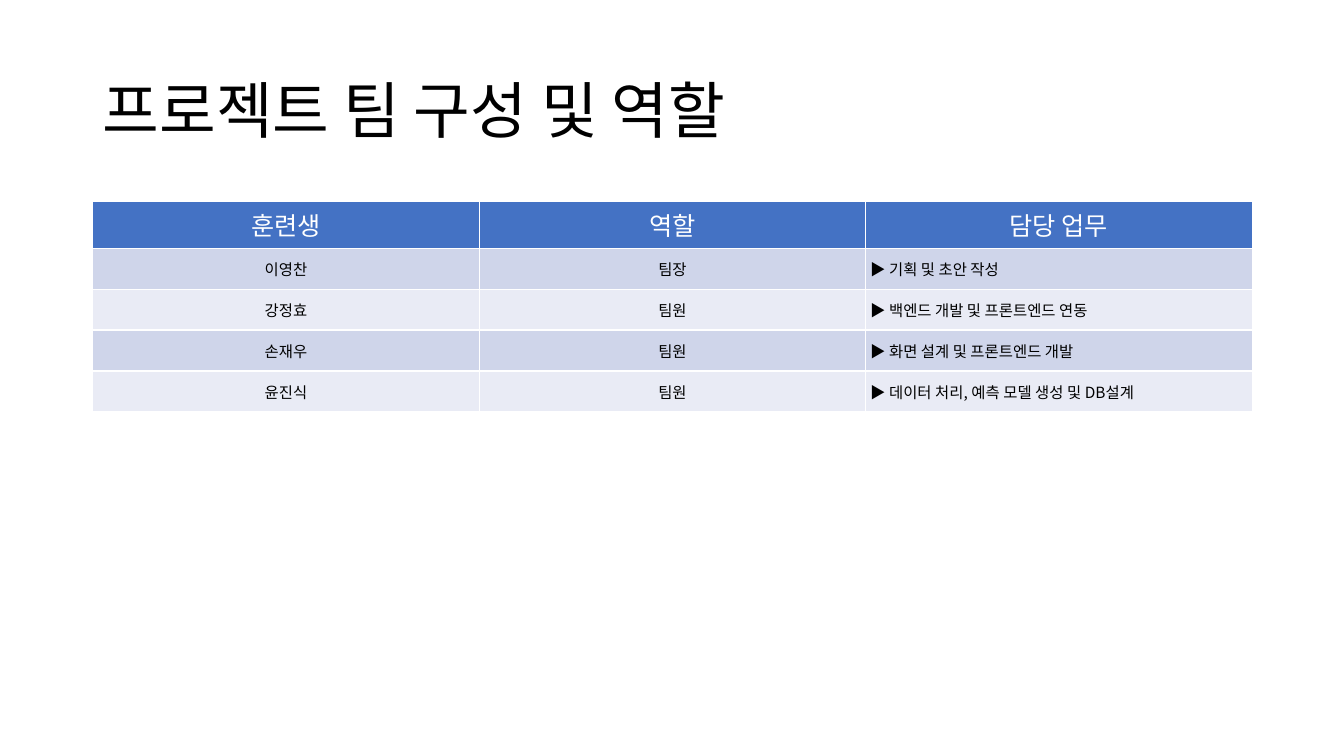
from lxml.etree import SubElement
from pptx import Presentation
from pptx.dml.color import RGBColor
from pptx.enum.text import MSO_ANCHOR, PP_ALIGN
from pptx.oxml.ns import qn
from pptx.util import Inches, Pt

FONT = "Noto Sans CJK KR"
BLACK = RGBColor(0x00, 0x00, 0x00)
WHITE = RGBColor(0xFF, 0xFF, 0xFF)
BLUE = RGBColor(0x44, 0x72, 0xC4)
BANDS = [RGBColor(0xE9, 0xEB, 0xF5), RGBColor(0xCF, 0xD5, 0xEA)]

ROWS = [
    ["훈련생", "역할", "담당 업무"],
    ["이영찬", "팀장", " ▶ 기획 및 초안 작성"],
    ["강정효", "팀원", " ▶ 백엔드 개발 및 프론트엔드 연동"],
    ["손재우", "팀원", " ▶ 화면 설계 및 프론트엔드 개발"],
    ["윤진식", "팀원", " ▶ 데이터 처리, 예측 모델 생성 및 DB설계"],
]


def write(frame, text, size, color, align):
    """Fill a text frame with one paragraph, with the font set for Latin and Korean."""
    frame.text = text
    line = frame.paragraphs[0]
    line.alignment = align
    font = line.runs[0].font
    font.size = Pt(size)
    font.bold = False
    font.color.rgb = color
    font.name = FONT
    SubElement(line.runs[0]._r.get_or_add_rPr(), qn("a:ea"), typeface=FONT)


deck = Presentation()
deck.slide_width = Inches(13.33)
deck.slide_height = Inches(7.5)
slide = deck.slides.add_slide(deck.slide_layouts[5])

title = slide.shapes.title
title.left, title.top = Inches(0.92), Inches(0.4)
title.width, title.height = Inches(11.5), Inches(1.45)
write(title.text_frame, "프로젝트 팀 구성 및 역할", 44, BLACK, PP_ALIGN.LEFT)
title.text_frame.vertical_anchor = MSO_ANCHOR.MIDDLE
title.text_frame.paragraphs[0].line_spacing = 0.9

table = slide.shapes.add_table(
    len(ROWS), 3, Inches(0.92), Inches(2), Inches(11.5), Inches(2.03)
).table

for r, row in enumerate(ROWS):
    for c, text in enumerate(row):
        cell = table.cell(r, c)
        cell.fill.solid()
        if r == 0:
            cell.fill.fore_color.rgb = BLUE
            write(cell.text_frame, text, 18, WHITE, PP_ALIGN.CENTER)
        else:
            cell.fill.fore_color.rgb = BANDS[r % 2]
            align = PP_ALIGN.LEFT if c == 2 else PP_ALIGN.CENTER
            write(cell.text_frame, text, 11, BLACK, align)
            cell.vertical_anchor = MSO_ANCHOR.MIDDLE
            cell.margin_left = cell.margin_right = cell.margin_top = Inches(0.01)
            cell.margin_bottom = 0

deck.save("out.pptx")
